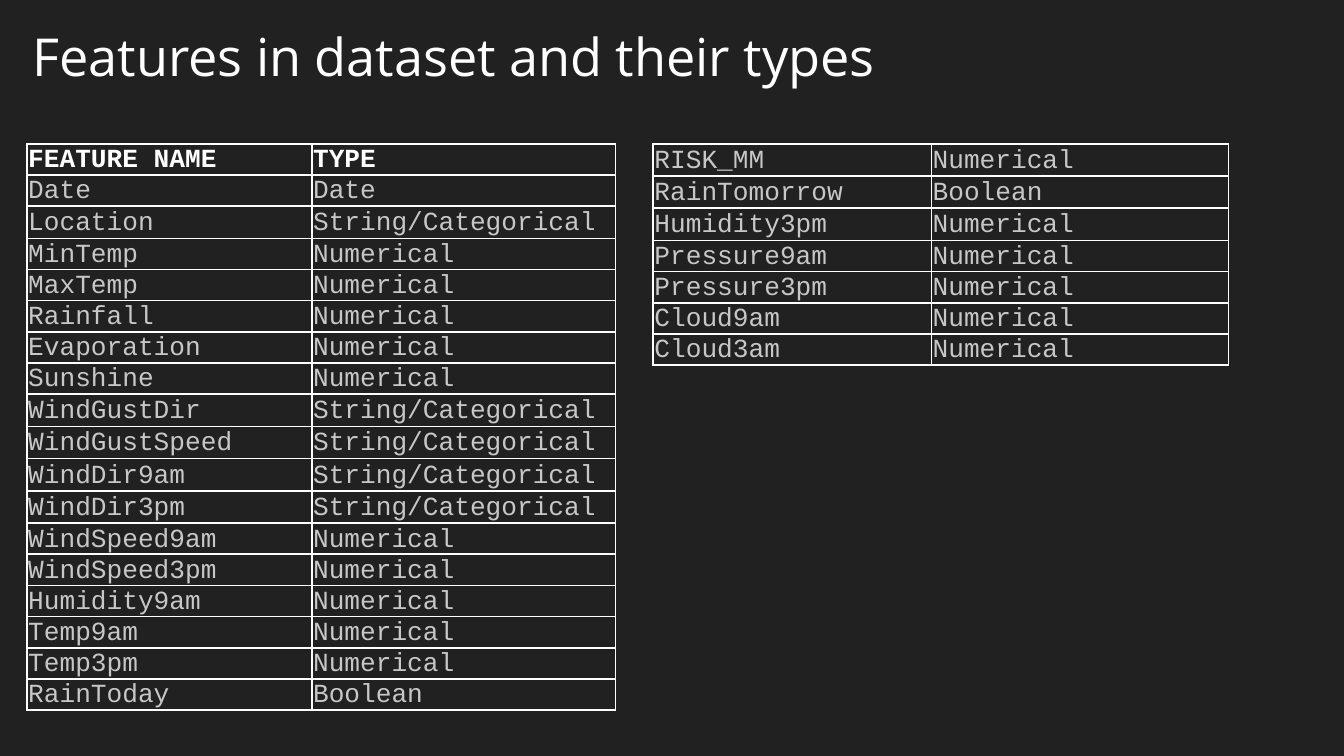
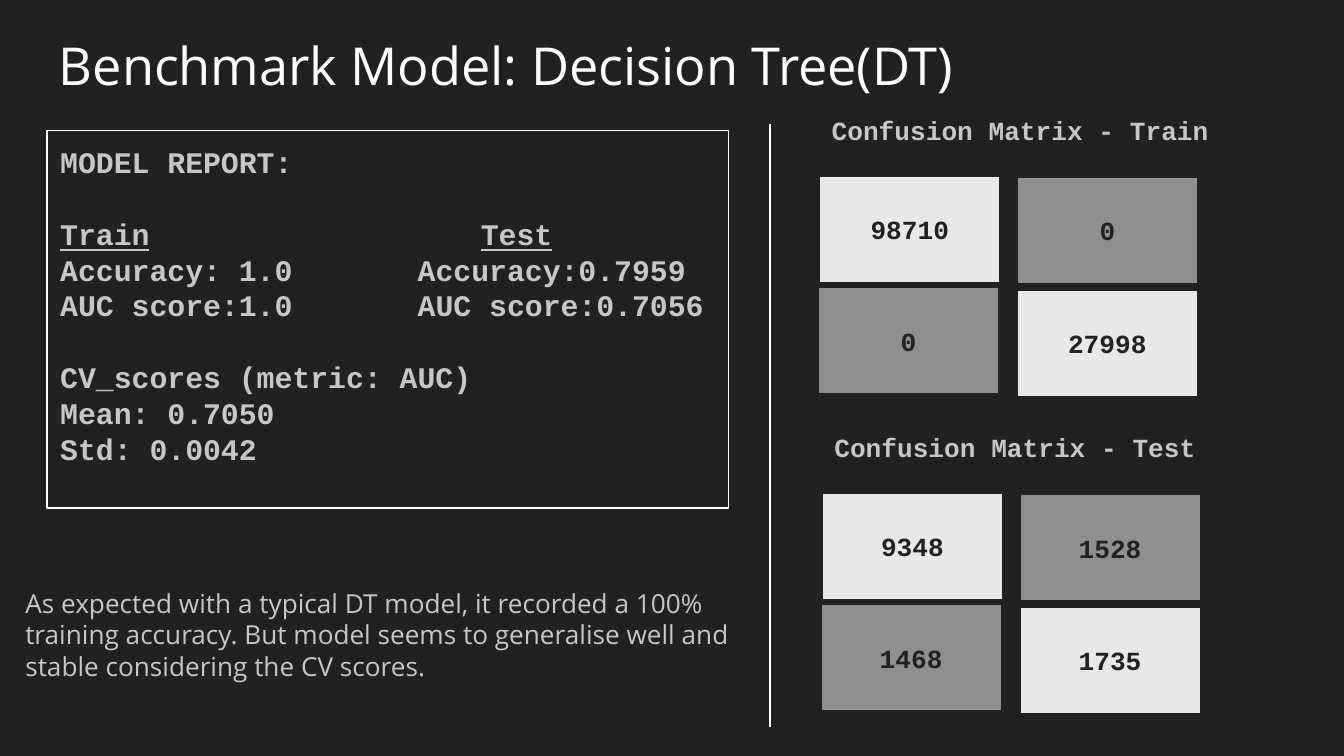
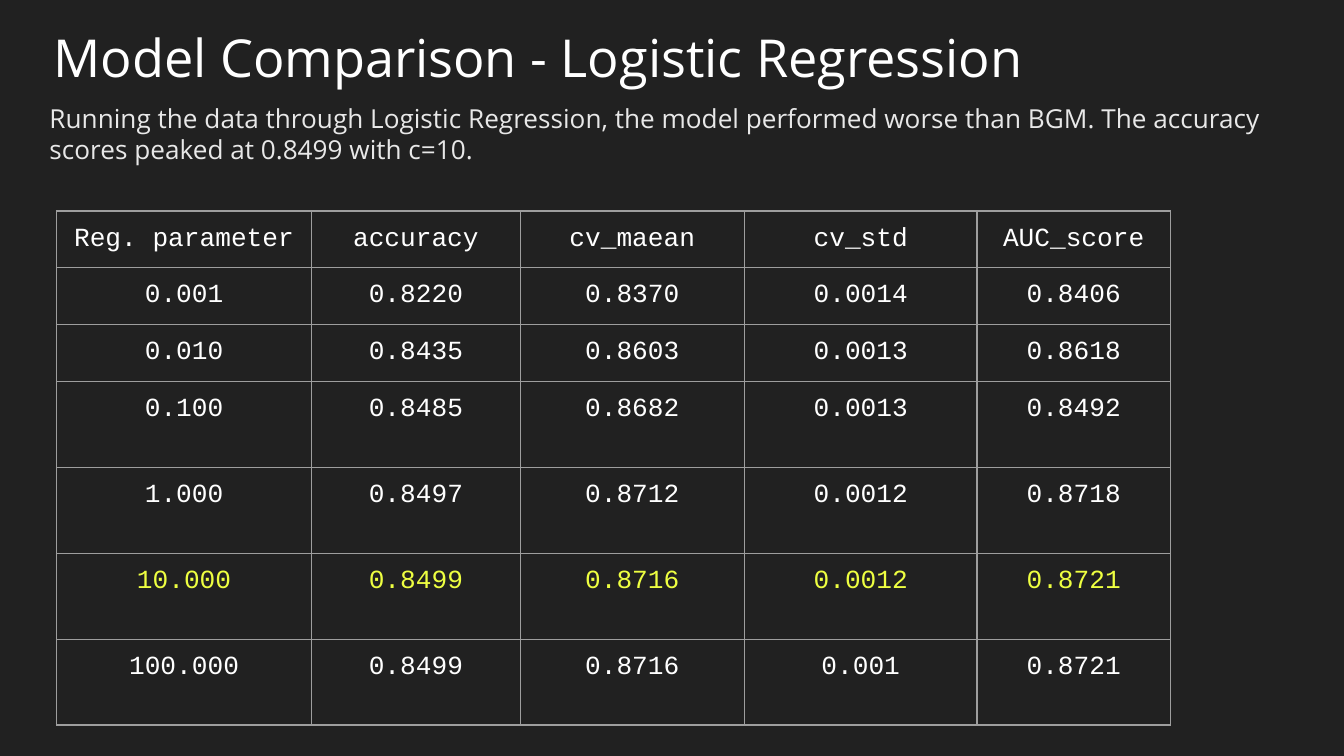
from dataclasses import dataclass

from lxml.etree import SubElement
from pptx import Presentation
from pptx.dml.color import RGBColor
from pptx.enum.shapes import MSO_CONNECTOR, MSO_SHAPE
from pptx.enum.text import MSO_ANCHOR, PP_ALIGN
from pptx.oxml.ns import qn
from pptx.util import Inches, Pt


@dataclass(frozen=True)
class Theme:
    background: str = "212121"
    white: str = "FFFFFF"
    body: str = "C7C7C7"
    light: str = "E8E8E8"
    shade: str = "8F8F8F"
    grid: str = "9E9E9E"
    highlight: str = "EEFF41"
    sans: str = "Open Sans"
    mono: str = "Courier New"
    title_size: int = 28
    report_size: int = 16
    text_size: int = 14


THEME = Theme()

TITLES = [
    ("Features in dataset and their types", (-0.07, 0.08, 6.89, 0.56), PP_ALIGN.CENTER),
    ("Benchmark Model: Decision Tree(DT)", (0.34, 0.15, 9.32, 0.63), PP_ALIGN.LEFT),
    ("Model Comparison - Logistic Regression", (0.3, 0.09, 9.32, 0.63), PP_ALIGN.LEFT),
]

FEATURES = [
    ("FEATURE NAME", "TYPE"),
    ("Date", "Date"),
    ("Location", "String/Categorical"),
    ("MinTemp", "Numerical"),
    ("MaxTemp", "Numerical"),
    ("Rainfall", "Numerical"),
    ("Evaporation", "Numerical"),
    ("Sunshine", "Numerical"),
    ("WindGustDir", "String/Categorical"),
    ("WindGustSpeed", "String/Categorical"),
    ("WindDir9am", "String/Categorical"),
    ("WindDir3pm", "String/Categorical"),
    ("WindSpeed9am", "Numerical"),
    ("WindSpeed3pm", "Numerical"),
    ("Humidity9am", "Numerical"),
    ("Temp9am", "Numerical"),
    ("Temp3pm", "Numerical"),
    ("RainToday", "Boolean"),
]
MORE_FEATURES = [
    ("RISK_MM", "Numerical"),
    ("RainTomorrow", "Boolean"),
    ("Humidity3pm", "Numerical"),
    ("Pressure9am", "Numerical"),
    ("Pressure3pm", "Numerical"),
    ("Cloud9am", "Numerical"),
    ("Cloud3am", "Numerical"),
]
TALL_MORE_FEATURES = 3

REPORT = [
    {"text": "MODEL REPORT:"},
    {"text": "Train\tTest", "tab": 3.13, "underline": True, "gap": True},
    {"text": "Accuracy: 1.0\tAccuracy:0.7959", "tab": 2.66},
    {"text": "AUC score:1.0\tAUC score:0.7056", "tab": 2.66},
    {"text": "CV_scores (metric: AUC)", "gap": True},
    {"text": "Mean: 0.7050"},
    {"text": "Std: 0.0042"},
]
BENCHMARK_NOTE = (
    "As expected with a typical DT model, it recorded a 100% training accuracy. "
    "But model seems to generalise well and stable considering the CV scores."
)
MATRICES = [
    ("Confusion Matrix - Train", 6.09, 1.3, 3.14, ("98710", "0", "0", "27998")),
    ("Confusion Matrix - Test", 6.11, 3.66, 2.9, ("9348", "1528", "1468", "1735")),
]
MATRIX_OFFSETS = [(0, 0), (1.47, 0.01), (-0.01, 0.83), (1.47, 0.85)]
MATRIX_FILLS = [THEME.light, THEME.shade, THEME.shade, THEME.light]

COMPARISON_NOTE = (
    "Running the data through Logistic Regression, the model performed worse than BGM. "
    "The accuracy scores peaked at 0.8499 with c=10."
)
SCORES = [
    ("Reg. parameter", "accuracy", "cv_maean", "cv_std", "AUC_score"),
    ("0.001", "0.8220", "0.8370", "0.0014", "0.8406"),
    ("0.010", "0.8435", "0.8603", "0.0013", "0.8618"),
    ("0.100", "0.8485", "0.8682", "0.0013", "0.8492"),
    ("1.000", "0.8497", "0.8712", "0.0012", "0.8718"),
    ("10.000", "0.8499", "0.8716", "0.0012", "0.8721"),
    ("100.000", "0.8499", "0.8716", "0.001", "0.8721"),
]
BEST_PARAMETER = "10.000"


def color(value):
    return RGBColor.from_string(value)


def write(paragraph, text, *, size=THEME.text_size, font=THEME.mono, fill=THEME.body,
          bold=False, underline=False, align=PP_ALIGN.LEFT, spacing=None):
    paragraph.alignment = align
    if spacing:
        paragraph.line_spacing = spacing
    for index, part in enumerate(text.split("\t")):
        if index:
            style(paragraph.add_run(), "\t", size, font, fill, bold, False)
        style(paragraph.add_run(), part, size, font, fill, bold, underline)


def style(run, text, size, font, fill, bold, underline):
    run.text = text
    run.font.size = Pt(size)
    run.font.name = font
    run.font.color.rgb = color(fill)
    run.font.bold = bold
    run.font.underline = underline


def set_frame(frame, horizontal=0.1, vertical=0.1, anchor=MSO_ANCHOR.TOP):
    frame.word_wrap = True
    frame.margin_left = frame.margin_right = Inches(horizontal)
    frame.margin_top = frame.margin_bottom = Inches(vertical)
    frame.vertical_anchor = anchor


def add_text(shapes, text, box, vertical=0.1, **text_format):
    frame = shapes.add_textbox(*map(Inches, box)).text_frame
    set_frame(frame, vertical=vertical)
    write(frame.paragraphs[0], text, **text_format)


def add_box(shapes, box, line, width, fill=None):
    shape = shapes.add_shape(MSO_SHAPE.RECTANGLE, *map(Inches, box))
    shape.shadow.inherit = False
    if fill:
        shape.fill.solid()
        shape.fill.fore_color.rgb = color(fill)
    else:
        shape.fill.background()
    shape.line.color.rgb = color(line)
    shape.line.width = Pt(width)
    return shape


def set_borders(cell, line, width):
    properties = cell._tc.get_or_add_tcPr()
    for position, side in enumerate(("lnL", "lnR", "lnT", "lnB")):
        border = properties.makeelement(qn(f"a:{side}"), {"w": str(Pt(width))})
        solid = SubElement(border, qn("a:solidFill"))
        SubElement(solid, qn("a:srgbClr"), val=line)
        properties.insert(position, border)


def add_grid(slide, rows, left, top, widths, heights, cell_format, line, width,
             margins, anchor, align):
    table = slide.shapes.add_table(
        len(rows), len(widths), Inches(left), Inches(top),
        Inches(sum(widths)), Inches(sum(heights)),
    ).table
    table.first_row = table.horz_banding = False
    for column, column_width in zip(table.columns, widths):
        column.width = Inches(column_width)
    for row, height, values in zip(table.rows, heights, rows):
        row.height = Inches(height)
        for cell, value in zip(row.cells, values):
            cell.fill.background()
            cell.margin_left = cell.margin_right = cell.margin_top = Inches(margins[0])
            cell.margin_bottom = Inches(margins[1])
            cell.vertical_anchor = anchor
            write(cell.text_frame.paragraphs[0], value, align=align, spacing=0.95,
                  **cell_format(values))
            set_borders(cell, line, width)


def feature_format(values):
    header = values == FEATURES[0]
    return {"fill": THEME.white if header else THEME.body, "bold": header}


def score_format(values):
    return {"fill": THEME.highlight if values[0] == BEST_PARAMETER else THEME.white}


def build_features(slide):
    heights = [0.24 if kind.startswith("String") else 0.22 for _, kind in FEATURES]
    more_heights = [0.24 if index < TALL_MORE_FEATURES else 0.22
                    for index in range(len(MORE_FEATURES))]
    for rows, left, widths, row_heights in (
        (FEATURES, 0.2, (2.12, 2.26), heights),
        (MORE_FEATURES, 4.86, (2.07, 2.21), more_heights),
    ):
        add_grid(slide, rows, left, 1.07, widths, row_heights, feature_format,
                 THEME.white, 1, (0.01, 0), MSO_ANCHOR.MIDDLE, PP_ALIGN.LEFT)


def add_report(slide):
    frame = add_box(slide.shapes, (0.35, 0.97, 5.07, 2.81), THEME.white, 0.75).text_frame
    set_frame(frame)
    for index, entry in enumerate(REPORT):
        paragraph = frame.paragraphs[0] if index == 0 else frame.add_paragraph()
        write(paragraph, entry["text"], size=THEME.report_size, bold=True,
              underline=entry.get("underline", False))
        if entry.get("gap"):
            paragraph.space_before = Pt(19.2)
        if "tab" in entry:
            stops = SubElement(paragraph._p.get_or_add_pPr(), qn("a:tabLst"))
            SubElement(stops, qn("a:tab"), pos=str(Inches(entry["tab"])), algn="l")


def add_matrix(slide, heading, left, top, heading_width, values):
    shapes = slide.shapes.add_group_shape().shapes
    for value, (across, down), fill in zip(values, MATRIX_OFFSETS, MATRIX_FILLS):
        box = (left + across, top + down, 1.36, 0.81)
        frame = add_box(shapes, box, THEME.background, 2, fill).text_frame
        set_frame(frame, vertical=0.05, anchor=MSO_ANCHOR.MIDDLE)
        write(frame.paragraphs[0], value, fill=THEME.background, bold=True,
              align=PP_ALIGN.CENTER)
    add_text(shapes, heading, (left, top - 0.5, heading_width, 0.34), vertical=0.05, bold=True)


def build_benchmark(slide):
    add_report(slide)
    add_text(slide.shapes, BENCHMARK_NOTE, (0.09, 4.27, 5.83, 0.91), font=THEME.sans)
    divider = slide.shapes.add_connector(
        MSO_CONNECTOR.STRAIGHT, Inches(5.73), Inches(0.92), Inches(5.73), Inches(5.41))
    divider.line.color.rgb = color(THEME.white)
    divider.line.width = Pt(0.75)
    SubElement(divider._element.spPr, qn("a:effectLst"))
    for matrix in MATRICES:
        add_matrix(slide, *matrix)


def build_comparison(slide):
    add_grid(slide, SCORES, 0.42, 1.57, (1.9, 1.55, 1.67, 1.73, 1.44),
             [0.42] * 3 + [0.64] * 4, score_format, THEME.grid, 0.75,
             (0.1, 0.1), MSO_ANCHOR.TOP, PP_ALIGN.CENTER)
    add_text(slide.shapes, COMPARISON_NOTE, (0.27, 0.66, 9.23, 0.91),
             font=THEME.sans, fill=THEME.light)


def main():
    presentation = Presentation()
    presentation.slide_width = Inches(10)
    presentation.slide_height = Inches(10) * 9 // 16
    background = presentation.slide_master.background.fill
    background.solid()
    background.fore_color.rgb = color(THEME.background)
    builders = (build_features, build_benchmark, build_comparison)
    for (title, box, align), build in zip(TITLES, builders):
        slide = presentation.slides.add_slide(presentation.slide_layouts[6])
        add_text(slide.shapes, title, box, size=THEME.title_size, font=THEME.sans,
                 fill=THEME.white, align=align)
        build(slide)
    presentation.save("out.pptx")


if __name__ == "__main__":
    main()
